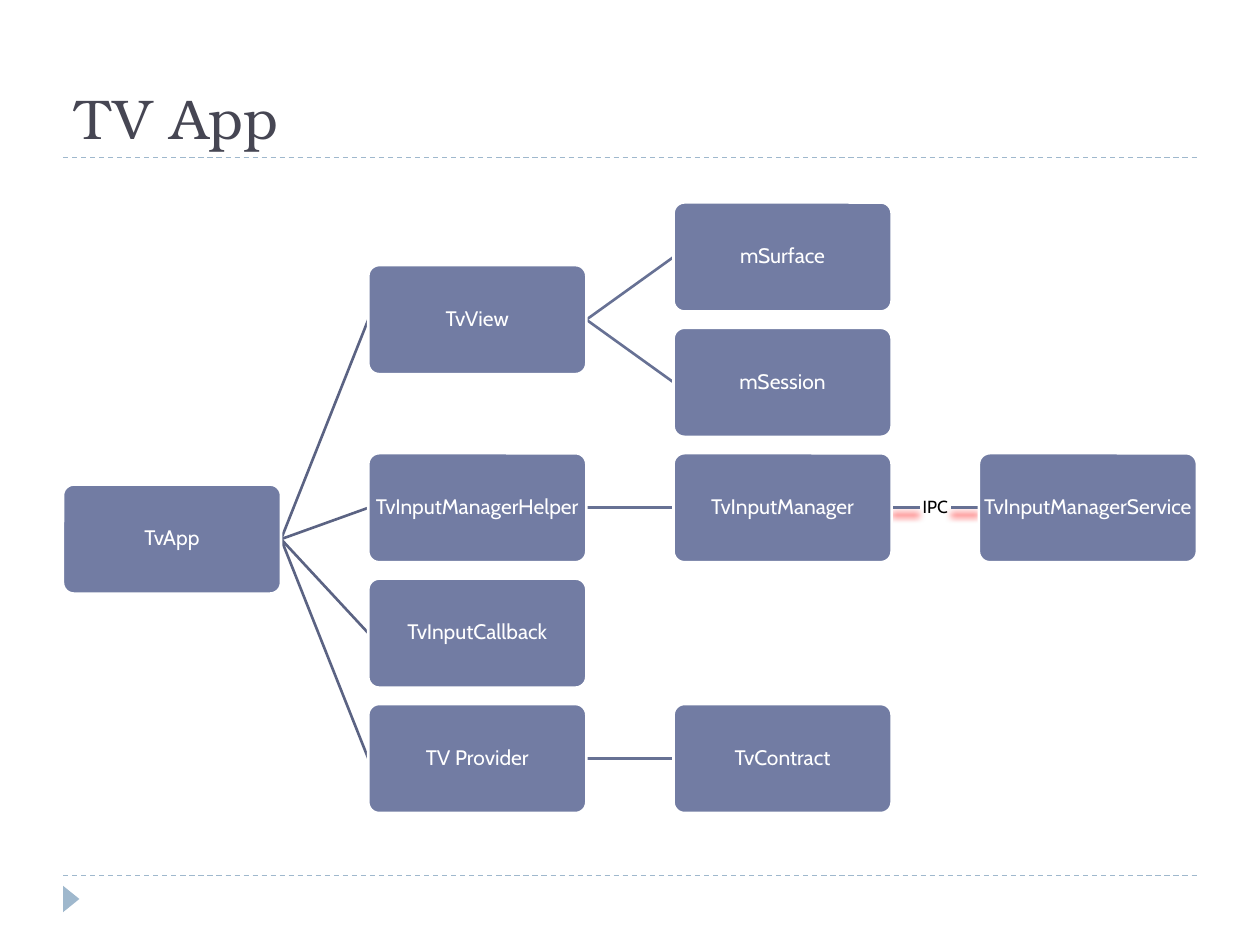
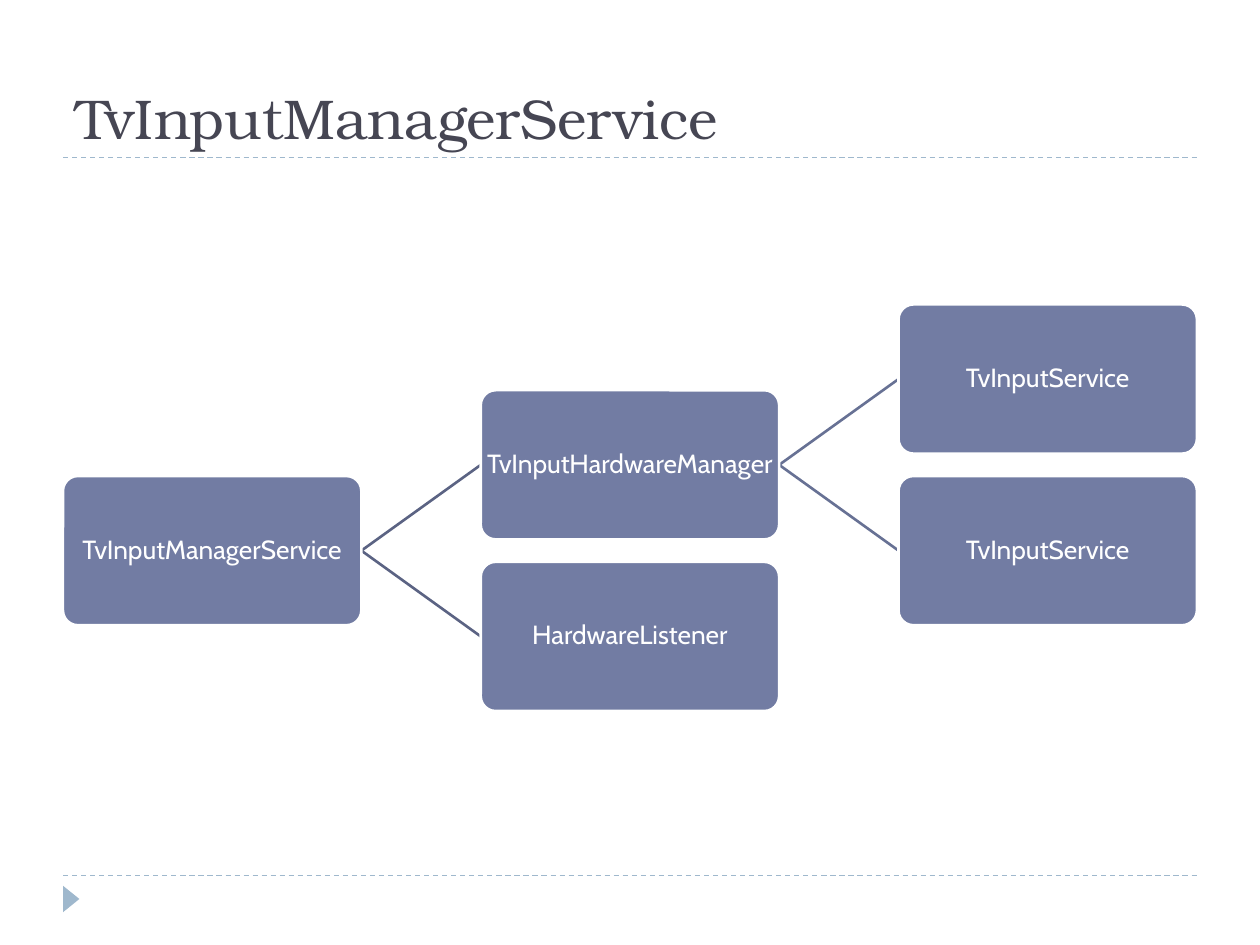
"""Build two slides that show TV app components as left-to-right trees."""
from lxml import etree
from pptx import Presentation
from pptx.dml.color import RGBColor
from pptx.enum.dml import MSO_LINE
from pptx.enum.shapes import MSO_CONNECTOR, MSO_SHAPE
from pptx.enum.text import MSO_ANCHOR, PP_ALIGN
from pptx.oxml import parse_xml
from pptx.oxml.ns import nsdecls, qn
from pptx.util import Inches, Pt

DASH = MSO_LINE.DASH
STRAIGHT = MSO_CONNECTOR.STRAIGHT
ROUNDED, TRIANGLE = MSO_SHAPE.ROUNDED_RECTANGLE, MSO_SHAPE.ISOSCELES_TRIANGLE
MIDDLE, BOTTOM = MSO_ANCHOR.MIDDLE, MSO_ANCHOR.BOTTOM
LEFT, CENTER = PP_ALIGN.LEFT, PP_ALIGN.CENTER
LEFT_SIDE, RIGHT_SIDE = 1, 3

DIAGRAMS = [
    {
        "title": "TV App",
        "size": 12,
        "tree": ("TvApp", [
            ("TvView", [("mSurface", []), ("mSession", [])]),
            ("TvInputManagerHelper", [
                ("TvInputManager", [("TvInputManagerService", [])]),
            ]),
            ("TvInputCallback", []),
            ("TV Provider", [("TvContract", [])]),
        ]),
        "link_labels": {("TvInputManager", "TvInputManagerService"): "IPC"},
    },
    {
        "title": "TvInputManagerService",
        "size": 15,
        "tree": ("TvInputManagerService", [
            ("TvInputHardwareManager", [("TvInputService", []), ("TvInputService", [])]),
            ("HardwareListener", []),
        ]),
        "link_labels": {},
    },
]

HEADING_FONT, BODY_FONT = "TeX Gyre Bonum", "Cabin"
HEADING, ACCENT, BOX, WHITE, BLACK = "464653", "9FB8CD", "727CA3", "FFFFFF", "000000"
ROOT_LINK, BRANCH_LINK, GLOW = "5B6383", "677194", "FF0000"
MARGIN, CONTENT_WIDTH, TREE_MIDDLE = 0.5, 9, 4.03
TITLE_RULE, FOOTER_RULE = 1.25, 6.95
COLUMN_GAP, BOX_RATIO, ROW_PITCH = 0.4, 0.5, 1.15
LABEL_WIDTH, LABEL_HEIGHT = 0.25, 0.17


def rgb(code):
    return RGBColor.from_string(code)


def write(frame, text, size, color, font=BODY_FONT, align=CENTER, anchor=MIDDLE,
          spacing=0.9, inset=(0.01, 0.01), wrap=False):
    frame.word_wrap = wrap
    frame.vertical_anchor = anchor
    frame.margin_left = frame.margin_right = Inches(inset[0])
    frame.margin_top = frame.margin_bottom = Inches(inset[1])
    paragraph = frame.paragraphs[0]
    paragraph.alignment, paragraph.line_spacing = align, spacing
    run = paragraph.add_run()
    run.text = text
    run.font.name, run.font.size = font, Pt(size)
    run.font.color.rgb = rgb(color)


def add_line(slide, color, width, start=(0, 0), end=(0, 0), glow=None):
    line = slide.shapes.add_connector(STRAIGHT, *map(Inches, start + end))
    line.line.color.rgb, line.line.width = rgb(color), Pt(width)
    effects = etree.SubElement(line._element.spPr, qn("a:effectLst"))
    if glow:
        effects.append(parse_xml(
            f'<a:outerShdw {nsdecls("a")} blurRad="{Pt(4)}" dist="{Pt(4)}" dir="5400000" '
            f'rotWithShape="0"><a:srgbClr val="{glow}"/></a:outerShdw>'))
    return line


def add_filled(slide, preset, left, top, width, height, color):
    shape = slide.shapes.add_shape(preset, *map(Inches, (left, top, width, height)))
    shape.shadow.inherit = False
    shape.fill.solid()
    shape.fill.fore_color.rgb = rgb(color)
    shape.line.fill.background()
    return shape


def add_frame(slide, title):
    for y in (FOOTER_RULE, TITLE_RULE):
        add_line(slide, ACCENT, 0.75, (MARGIN, y), (MARGIN + CONTENT_WIDTH, y)).line.dash_style = DASH
    add_filled(slide, TRIANGLE, 0.46, 7.07, 0.21, 0.13, ACCENT).rotation = 90
    heading = slide.shapes.title
    heading.left, heading.top = Inches(MARGIN), Inches(0.17)
    heading.width, heading.height = Inches(CONTENT_WIDTH), Inches(1.08)
    write(heading.text_frame, title, 32, HEADING, font=HEADING_FONT, align=LEFT,
          anchor=BOTTOM, spacing=1, inset=(0.1, 0.05), wrap=True)


def place(node, nodes, links, next_rows, column=0, floor=0):
    """Give each node a column and row, with parents centred on their children."""
    name, children = node
    index = len(nodes)
    nodes.append(None)
    row = max(floor, next_rows.get(column, 0))
    if children:
        placed = [place(child, nodes, links, next_rows, column + 1, row) for child in children]
        links.extend((index, child) for child in placed)
        row = (nodes[placed[0]][2] + nodes[placed[-1]][2]) / 2
    next_rows[column] = row + 1
    nodes[index] = (name, column, row)
    return index


def add_tree(slide, tree, size, link_labels):
    nodes, links = [], []
    place(tree, nodes, links, {})
    columns = 1 + max(column for _, column, _ in nodes)
    rows = [row for _, _, row in nodes]
    width = CONTENT_WIDTH / (columns + COLUMN_GAP * (columns - 1))
    height = width * BOX_RATIO
    middle_row = (min(rows) + max(rows)) / 2

    def left_of(column):
        return MARGIN + column * width * (1 + COLUMN_GAP)

    def center_of(row):
        return TREE_MIDDLE + (row - middle_row) * height * ROW_PITCH

    boxes, joints = {}, []
    for parent, child in links:
        parent_name, column, _ = nodes[parent]
        child_name, child_column, row = nodes[child]
        color = BRANCH_LINK if column else ROOT_LINK
        label = link_labels.get((parent_name, child_name))
        if label:
            center = left_of(child_column) - width * COLUMN_GAP / 2
            boxes[label] = slide.shapes.add_textbox(*map(Inches, (
                center - LABEL_WIDTH / 2, center_of(row) - LABEL_HEIGHT / 2,
                LABEL_WIDTH, LABEL_HEIGHT)))
            write(boxes[label].text_frame, label, 10, BLACK, inset=(0.01, 0))
            for start, end in ((parent, label), (label, child)):
                joints.append((add_line(slide, color, 1.5, glow=GLOW), start, end))
        else:
            joints.append((add_line(slide, color, 1.5), parent, child))

    for index, (name, column, row) in enumerate(nodes):
        box = add_filled(slide, ROUNDED, left_of(column), center_of(row) - height / 2,
                         width, height, BOX)
        box.adjustments[0] = 0.1
        box.line.color.rgb, box.line.width = rgb(WHITE), Pt(1.5)
        write(box.text_frame, name, size, WHITE)
        boxes[index] = box
    for line, start, end in joints:
        line.begin_connect(boxes[start], RIGHT_SIDE)
        line.end_connect(boxes[end], LEFT_SIDE)


def main():
    deck = Presentation()
    deck.slide_width, deck.slide_height = Inches(10), Inches(7.5)
    for diagram in DIAGRAMS:
        slide = deck.slides.add_slide(deck.slide_layouts[5])
        add_frame(slide, diagram["title"])
        add_tree(slide, diagram["tree"], diagram["size"], diagram["link_labels"])
    deck.save("out.pptx")


if __name__ == "__main__":
    main()
